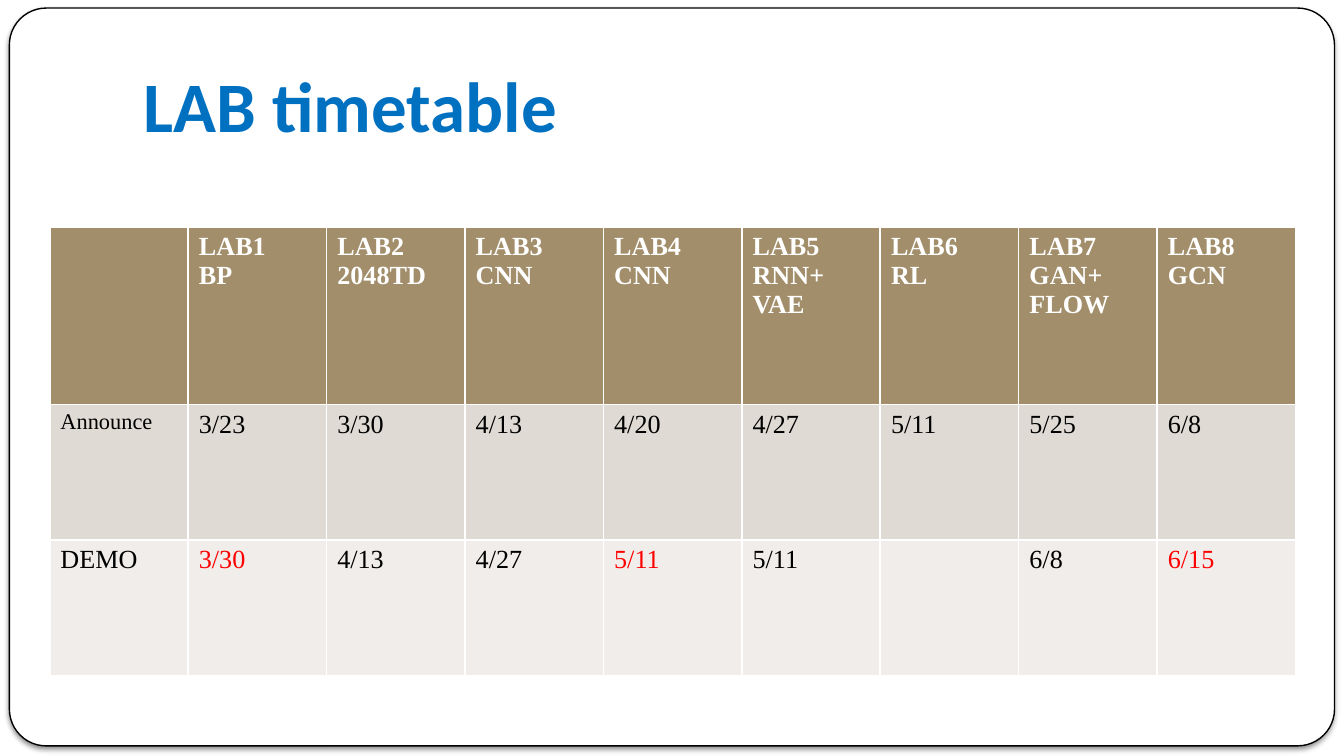
from lxml import etree
from pptx import Presentation
from pptx.dml.color import RGBColor
from pptx.enum.shapes import MSO_SHAPE
from pptx.enum.text import MSO_ANCHOR
from pptx.oxml import parse_xml
from pptx.oxml.ns import nsdecls, qn
from pptx.util import Inches, Pt

ROUND = MSO_SHAPE.ROUNDED_RECTANGLE
BOTTOM = MSO_ANCHOR.BOTTOM

COLORS = {
    "white": "FFFFFF", "black": "000000", "blue": "0070C0", "red": "FF0000",
    "head": "A28E6A", "dark": "DFDAD3", "light": "F0EDEA",
}


def rgb(name):
    return RGBColor.from_string(COLORS[name])


def add_run(para, text, size, color, bold=False, font="Times New Roman"):
    run = para.add_run()
    run.text = text
    run.font.size = Pt(size)
    run.font.name = font
    run.font.bold = bold
    run.font.color.rgb = rgb(color)


# Widescreen, 16:9
prs = Presentation()
prs.slide_width = Inches(10)
prs.slide_height = Inches(10 * 9 / 16)
slide = prs.slides.add_slide(prs.slide_layouts[6])

# Rounded frame with a soft shadow below
frame = slide.shapes.add_shape(
    ROUND, Inches(0.07), Inches(0.06), Inches(9.86), Inches(5.49))
frame.adjustments[0] = 0.05
frame.fill.solid()
frame.fill.fore_color.rgb = rgb("white")
frame.line.color.rgb = rgb("black")
frame.line.width = Pt(0.75)
frame.shadow.inherit = False
effects = frame.element.spPr.find(qn("a:effectLst"))
effects.append(parse_xml(
    f'<a:outerShdw {nsdecls("a")} blurRad="{Pt(3)}" dist="{Pt(2)}" '
    f'dir="5400000" algn="t" rotWithShape="0"><a:srgbClr val="{COLORS["black"]}">'
    '<a:alpha val="50000"/></a:srgbClr></a:outerShdw>'))

# Title
title = slide.shapes.add_textbox(
    Inches(1), Inches(0.23), Inches(8.5), Inches(0.94)).text_frame
title.word_wrap = True
title.vertical_anchor = BOTTOM
title.margin_left = title.margin_right = Inches(0.07)
title.margin_top = Inches(0.04)
title.margin_bottom = Inches(0.08)
add_run(title.paragraphs[0], "LAB timetable", 38, "blue", True, "Calibri")

# Timetable
labs = ["", "LAB1\nBP", "LAB2\n2048TD", "LAB3\nCNN", "LAB4\nCNN",
        "LAB5\nRNN+\nVAE", "LAB6\nRL", "LAB7\nGAN+\nFLOW", "LAB8\nGCN"]
announce = ["Announce", "3/23", "3/30", "4/13", "4/20", "4/27", "5/11", "5/25", "6/8"]
demo = ["DEMO", "3/30", "4/13", "4/27", "5/11", "5/11", "", "6/8", "6/15"]
rows = [(labs, 1.32, "head"), (announce, 1.01, "dark"), (demo, 1.01, "light")]
red_cells = {(2, 1), (2, 4), (2, 8)}
col_width = 1.03

table = slide.shapes.add_table(
    len(rows), len(labs), Inches(0.37), Inches(1.69),
    Inches(col_width * len(labs)), Inches(sum(row[1] for row in rows))).table
for col in table.columns:
    col.width = Inches(col_width)

for r, (texts, height, fill) in enumerate(rows):
    table.rows[r].height = Inches(height)
    for c, text in enumerate(texts):
        cell = table.cell(r, c)
        cell.margin_left = cell.margin_right = Inches(0.08)
        cell.margin_top = cell.margin_bottom = Inches(0.04)
        props = cell._tc.get_or_add_tcPr()
        for side in ("a:lnL", "a:lnR", "a:lnT", "a:lnB"):
            line = etree.SubElement(props, qn(side), w=str(Pt(0.96)))
            solid = etree.SubElement(line, qn("a:solidFill"))
            etree.SubElement(solid, qn("a:srgbClr"), val=COLORS["white"])
        cell.fill.solid()
        cell.fill.fore_color.rgb = rgb(fill)
        if not text:
            continue
        color = "white" if r == 0 else "red" if (r, c) in red_cells else "black"
        size = 12 if text == "Announce" else 14
        for i, part in enumerate(text.split("\n")):
            body = cell.text_frame
            para = body.add_paragraph() if i else body.paragraphs[0]
            add_run(para, part, size, color, r == 0)

prs.save("out.pptx")
